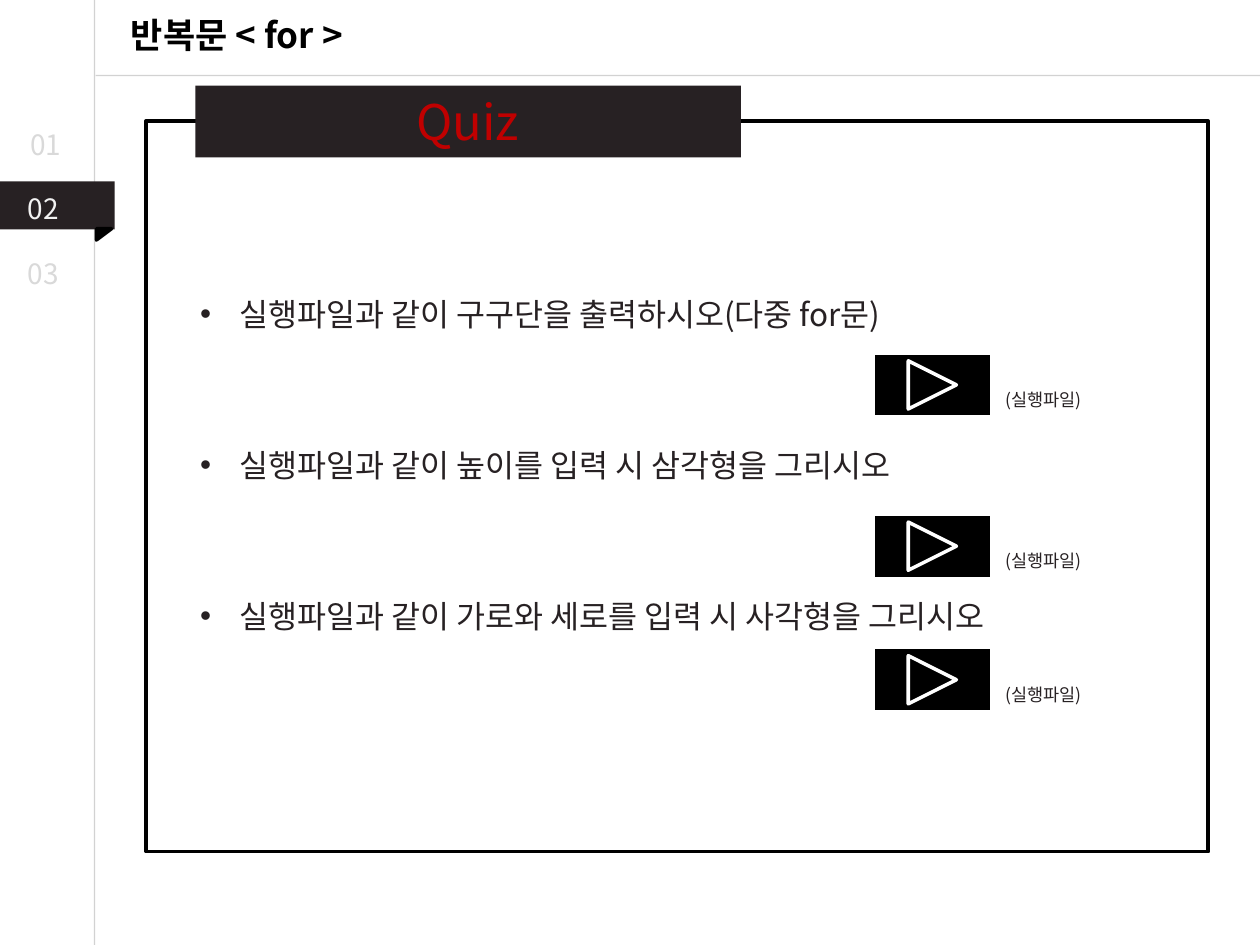
from lxml import etree
from pptx import Presentation
from pptx.dml.color import RGBColor
from pptx.enum.shapes import MSO_CONNECTOR, MSO_SHAPE
from pptx.enum.text import MSO_AUTO_SIZE, PP_ALIGN
from pptx.oxml.ns import qn
from pptx.util import Inches, Pt

RECT, TRIANGLE = MSO_SHAPE.RECTANGLE, MSO_SHAPE.RIGHT_TRIANGLE
PLAY = MSO_SHAPE.ACTION_BUTTON_FORWARD_OR_NEXT
STRAIGHT = MSO_CONNECTOR.STRAIGHT
LEFT, CENTER = PP_ALIGN.LEFT, PP_ALIGN.CENTER
FIT = MSO_AUTO_SIZE.SHAPE_TO_FIT_TEXT
COLS, ROWS = 100, 75
CELL = Inches(0.1)
FONT = "Noto Sans CJK KR"
COLORS = {"ink": "272123", "black": "000000", "white": "FFFFFF", "rule": "A6A6A6",
          "idle": "D9D9D9", "active": "F2F2F2", "quiz": "C00000"}
TABS = [("01", 1.4, 9.6, 5.9, "idle"), ("02", 1.2, 14.7, 4.9, "active"),
        ("03", 1.2, 19.9, 4.9, "idle")]
TASKS = ["실행파일과 같이 구구단을 출력하시오(다중 for문)",
         "실행파일과 같이 높이를 입력 시 삼각형을 그리시오",
         "실행파일과 같이 가로와 세로를 입력 시 사각형을 그리시오"]
BUTTON_ROWS = [28, 40.8, 51.4]


def rgb(name):
    """Return a named palette colour."""
    return RGBColor.from_string(COLORS[name])


def grid(*cells):
    """Convert grid cells to slide lengths."""
    return [round(c * CELL) for c in cells]


def add_rule(s, *ends):
    """Draw a thin half-transparent line between two grid points."""
    line = s.shapes.add_connector(STRAIGHT, *grid(*ends))
    line.line.color.rgb = rgb("rule")
    line.line.width = Pt(0.75)
    color = line.line._ln.find(".//" + qn("a:srgbClr"))
    etree.SubElement(color, qn("a:alpha"), val="50000")
    etree.SubElement(line._element.spPr, qn("a:effectLst"))


def add_box(s, kind, box, fill=None, line=None):
    """Add a preset shape with optional fill and outline."""
    sp = s.shapes.add_shape(kind, *grid(*box))
    sp.shadow.inherit = False
    if fill:
        sp.fill.solid()
        sp.fill.fore_color.rgb = rgb(fill)
    else:
        sp.fill.background()
    if line:
        sp.line.color.rgb = rgb(line)
        sp.line.width = Pt(2)
    else:
        sp.line.fill.background()
    return sp


def add_bullet(p):
    """Give a paragraph a hanging round bullet."""
    pPr = p._p.get_or_add_pPr()
    indent = Inches(0.31)
    pPr.set("marL", str(indent))
    pPr.set("indent", str(-indent))
    etree.SubElement(pPr, qn("a:buFont"), typeface="Arial")
    etree.SubElement(pPr, qn("a:buChar"), char="•")


def add_text(s, box, *lines, size=16, color="ink", bold=False, align=LEFT,
             bullet=False, gap=0):
    """Add a text box with one paragraph for each line."""
    tf = s.shapes.add_textbox(*grid(*box)).text_frame
    tf.word_wrap = True
    tf.auto_size = FIT
    for i, text in enumerate(lines):
        p = tf.add_paragraph() if i else tf.paragraphs[0]
        p.alignment = align
        if i and gap:
            p.space_before = Pt(gap)
        if bullet:
            add_bullet(p)
        r = p.add_run()
        r.text = text
        r.font.name, r.font.size, r.font.bold = FONT, Pt(size), bold
        r.font.color.rgb = rgb(color)
        etree.SubElement(r._r.get_or_add_rPr(), qn("a:ea"), typeface=FONT)


def add_navigation(s):
    """Add the rules, the active ribbon and the chapter numbers."""
    add_rule(s, 7.5, 0, 7.5, ROWS)
    add_rule(s, COLS, 6, 7.6, 6)
    add_box(s, RECT, (0, 14.4, 9.1, 3.8), fill="ink")
    fold = add_box(s, TRIANGLE, (7.8, 18, 0.9, 1.2), fill="black", line="black")
    fold.rotation = 90
    for text, col, row, width, color in TABS:
        add_text(s, (col, row, width, 3.7), text, color=color)


def add_quiz(s):
    """Add the framed quiz with its heading and tasks."""
    add_box(s, RECT, (11.6, 9.6, 84.3, 58), line="black")
    add_box(s, RECT, (15.5, 6.8, 43.3, 5.7), fill="ink")
    add_text(s, (11.6, 6.8, 51, 5.7), "Quiz", size=28, color="quiz", align=CENTER)
    add_text(s, (14.9, 22.9, 77, 28.3), *TASKS, size=18, bullet=True, gap=64.7)
    for row in BUTTON_ROWS:
        add_box(s, PLAY, (69.3, row, 9.4, 5.1), fill="black", line="white")
        add_text(s, (78.8, row + 2.4, 8.6, 2.7), "(실행파일)", size=10)


def main():
    """Build and save the slide."""
    prs = Presentation()
    prs.slide_width, prs.slide_height = grid(COLS, ROWS)
    s = prs.slides.add_slide(prs.slide_layouts[6])
    add_navigation(s)
    add_quiz(s)
    add_text(s, (8.1, 0.6, 21.4, 4.4), "반복문 < for >", size=20, color="black",
             bold=True, align=CENTER)
    prs.save("out.pptx")


main()
